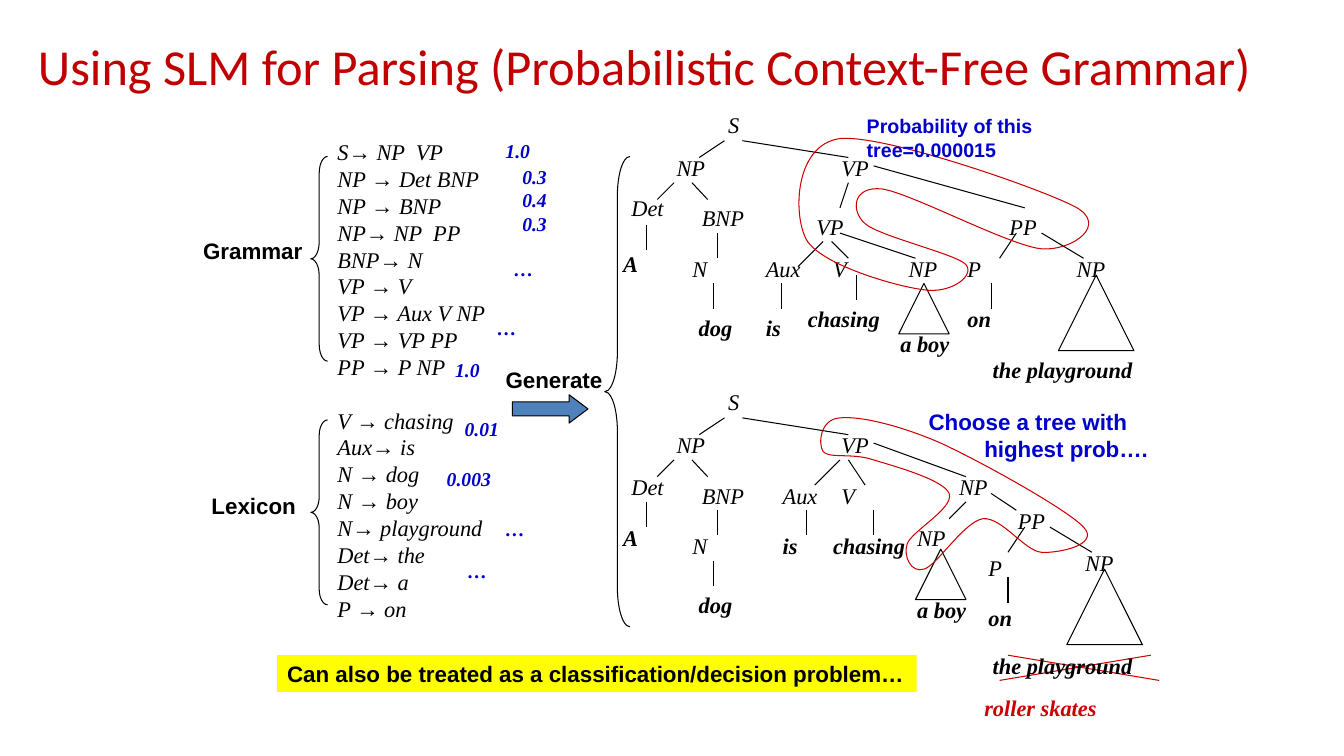
from lxml.etree import SubElement
from pptx import Presentation
from pptx.dml.color import RGBColor
from pptx.enum.shapes import MSO_CONNECTOR, MSO_SHAPE
from pptx.enum.text import MSO_ANCHOR, PP_ALIGN
from pptx.oxml.ns import qn
from pptx.util import Pt


class Theme:
    scale = 9525
    line_width = Pt(0.75)
    black = RGBColor.from_string("000000")
    title_red = RGBColor.from_string("C00000")
    red = RGBColor.from_string("CC0000")
    blue = RGBColor.from_string("0000CC")
    arrow_blue = RGBColor.from_string("4F81BD")
    yellow = RGBColor.from_string("FFFF00")
    title = {"name": "Calibri", "size": Pt(36)}
    symbol = {"name": "Times New Roman", "size": Pt(16), "italic": True}
    word = {**symbol, "bold": True}
    chance = {**word, "size": Pt(14)}
    heading = {"name": "Arial", "size": Pt(16), "bold": True}
    remark = {**heading, "size": Pt(14)}


class SlideBuilder:
    """Draws themed elements on one slide, with lengths in px."""

    def __init__(self, slide, theme):
        self.shapes = slide.shapes
        self.theme = theme

    def emu(self, *lengths):
        return [length * self.theme.scale for length in lengths]

    def text(self, content, x, y, style, color=Theme.black, width=None, height=35,
             align=PP_ALIGN.LEFT, anchor=MSO_ANCHOR.TOP, fill=None):
        width = width or 20 + 14 * len(content)
        box = self.shapes.add_textbox(*self.emu(x, y, width, height))
        frame = box.text_frame
        frame.word_wrap = True
        frame.vertical_anchor = anchor
        frame.text = content
        if fill is not None:
            box.fill.solid()
            box.fill.fore_color.rgb = fill
        for paragraph in frame.paragraphs:
            paragraph.alignment = align
            for run in paragraph.runs:
                for key, value in style.items():
                    setattr(run.font, key, value)
                run.font.color.rgb = color
        return frame.paragraphs

    def labels(self, entries, style, color=Theme.black, dy=0):
        for content, x, y in entries:
            self.text(content, x, y + dy, style, color)

    def outline(self, shape, color, fill=None):
        shape.shadow.inherit = False
        shape.line.color.rgb = color
        shape.line.width = self.theme.line_width
        if fill is None:
            shape.fill.background()
        else:
            shape.fill.solid()
            shape.fill.fore_color.rgb = fill

    def shape(self, preset, x, y, width, height, adjustments=(), fill=None):
        shape = self.shapes.add_shape(preset, *self.emu(x, y, width, height))
        for index, value in enumerate(adjustments):
            shape.adjustments[index] = value
        self.outline(shape, self.theme.black, fill)

    def lines(self, ends, color=Theme.black, dy=0):
        for x1, y1, x2, y2 in ends:
            line = self.shapes.add_connector(
                MSO_CONNECTOR.STRAIGHT, *self.emu(x1, y1 + dy, x2, y2 + dy))
            line.line.color.rgb = color
            line.line.width = self.theme.line_width
            SubElement(line._element.spPr, qn("a:effectLst"))

    def loop(self, start, controls, color):
        builder = self.shapes.build_freeform(*start, scale=float(self.theme.scale))
        builder.add_line_segments(controls + [start], close=True)
        shape = builder.convert_to_shape()
        segments = list(shape._element.iter(qn("a:lnTo")))
        for first in range(0, len(segments), 3):
            curve = segments[first]
            curve.tag = qn("a:cubicBezTo")
            for segment in segments[first + 1:first + 3]:
                curve.append(segment[0])
                segment.getparent().remove(segment)
        self.outline(shape, color)

    def tree(self, dy, symbols, words, branches, triangles):
        self.labels(SHARED_SYMBOLS, self.theme.symbol, dy=dy)
        self.labels([("dog", 656, 294)], self.theme.word, dy=dy)
        self.lines(SHARED_BRANCHES, dy=dy)
        self.labels(symbols, self.theme.symbol)
        self.labels(words, self.theme.word)
        self.lines(branches)
        for x, y, side in triangles:
            self.shape(MSO_SHAPE.ISOSCELES_TRIANGLE, x, y, side, side)


GRAMMAR = ["S→ NP  VP", "NP → Det BNP", "NP → BNP", "NP→ NP  PP", "BNP→ N",
           "VP → V", "VP → Aux V NP", "VP → VP PP", "PP → P NP"]
LEXICON = ["V → chasing", "Aux→ is", "N → dog", "N → boy", "N→ playground",
           "Det→ the", "Det→ a", "P → on"]
CHANCES = [("1.0", 472, 128), ("1.0", 424, 336), ("…", 480, 240), ("…", 464, 296),
           ("0.01", 433, 392), ("0.003", 416, 440), ("…", 436, 528), ("…", 472, 488)]
HEADINGS = [("Grammar", 184, 221), ("Lexicon", 192, 464), ("Generate", 472, 344)]
BRACES = [(296, 149, 16, 195, 0.997), (296, 400, 16, 176, 0.917),
          (576, 149, 24, 448, 1.556)]

SHARED_SYMBOLS = [("S", 684, 101), ("NP", 635, 142), ("VP", 792, 142),
                  ("BNP", 659, 190), ("N", 650, 238)]
SHARED_BRANCHES = [(690, 134, 666, 150), (707, 134, 808, 150), (659, 174, 674, 190),
                   (683, 222, 683, 246), (642, 174, 626, 190), (616, 214, 616, 238),
                   (680, 270, 680, 294)]
TREES = [
    dict(dy=0,
         symbols=[("Det", 592, 180), ("VP", 768, 198), ("PP", 952, 198),
                  ("Aux", 720, 238), ("V", 784, 238), ("NP", 856, 238),
                  ("P", 912, 238), ("NP", 1016, 238)],
         words=[("A", 584, 233), ("is", 720, 294), ("chasing", 760, 286),
                ("a boy", 848, 310), ("on", 912, 286), ("the playground", 936, 334)],
         branches=[(808, 174, 800, 198), (832, 158, 976, 198), (784, 230, 760, 254),
                   (792, 230, 808, 246), (744, 270, 744, 294), (816, 262, 816, 286),
                   (800, 222, 872, 246), (968, 222, 952, 246), (992, 222, 1032, 246),
                   (944, 270, 944, 294)],
         triangles=[(856, 270, 48), (1008, 262, 72)]),
    dict(dy=264,
         symbols=[("Det", 592, 446), ("PP", 960, 478), ("Aux", 736, 454),
                  ("V", 792, 454), ("NP", 904, 446), ("NP", 864, 494),
                  ("P", 932, 523), ("NP", 1024, 518)],
         words=[("A", 584, 494), ("is", 736, 502), ("chasing", 784, 502),
                ("a boy", 864, 563), ("on", 932, 571), ("the playground", 936, 616)],
         branches=[(800, 438, 776, 462), (808, 438, 824, 462), (768, 486, 768, 510),
                   (832, 486, 832, 510), (832, 422, 920, 454), (976, 502, 960, 526),
                   (1000, 502, 1040, 526), (960, 550, 960, 574), (944, 470, 968, 486),
                   (920, 478, 904, 494)],
         triangles=[(872, 523, 48), (1016, 542, 72)]),
]
LOOPS = [
    ((800, 132), [
        (843, 128), (992, 180), (1024, 197), (1056, 214), (1022, 239), (992, 237),
        (961, 234), (868, 184), (840, 180), (812, 177), (810, 201), (824, 213),
        (837, 225), (911, 242), (920, 252), (929, 263), (905, 280), (880, 276),
        (854, 273), (781, 252), (768, 228), (755, 204), (757, 138)]),
    ((800, 398), [
        (819, 396), (857, 405), (896, 422), (935, 440), (1016, 485), (1032, 502),
        (1048, 519), (1008, 527), (992, 526), (976, 525), (954, 492), (936, 494),
        (918, 497), (892, 539), (880, 542), (868, 546), (860, 530), (864, 518),
        (868, 506), (909, 484), (904, 470), (899, 457), (852, 444), (832, 438),
        (812, 431), (789, 437), (784, 430), (779, 423), (781, 399)]),
]
CROSS = [(952, 648, 1096, 624), (960, 624, 1104, 648)]


def main():
    theme = Theme()
    deck = Presentation()
    deck.slide_width, deck.slide_height = 1280 * theme.scale, 720 * theme.scale
    page = SlideBuilder(deck.slides.add_slide(deck.slide_layouts[6]), theme)

    page.labels([("roller skates", 928, 656)], theme.word, theme.red)
    page.lines(CROSS, theme.red)
    page.text("Using SLM for Parsing (Probabilistic Context-Free Grammar)", 0, 6,
              theme.title, theme.title_red, 1228, 112, PP_ALIGN.CENTER, MSO_ANCHOR.MIDDLE)
    rules = page.text("\n".join(GRAMMAR + LEXICON), 312, 127, theme.symbol,
                      width=184, height=497)
    rules[len(GRAMMAR)].space_before = Pt(19)
    for x, y, width, height, curl in BRACES:
        page.shape(MSO_SHAPE.LEFT_BRACE, x, y, width, height, (curl, 0.5))
    page.labels(HEADINGS, theme.heading)
    page.shape(MSO_SHAPE.RIGHT_ARROW, 488, 376, 72, 27, (0.5, 0.667), theme.arrow_blue)

    for tree in TREES:
        page.tree(**tree)
    for start, controls in LOOPS:
        page.loop(start, controls, theme.red)

    page.labels(CHANCES, theme.chance, theme.blue)
    page.text("0.3\n0.4\n0.3", 488, 152, theme.chance, theme.blue, 43, 78)
    page.text("Probability of this tree=0.000015", 816, 104, theme.remark, theme.blue, 190, 54)
    advice = page.text("Choose a tree with\nhighest prob….", 875, 384, theme.heading,
                       theme.blue, 240, 61)
    advice[1]._p.get_or_add_pPr().set("marL", str(53 * theme.scale))
    page.text("Can also be treated as a classification/decision problem…", 264, 624,
              theme.heading, width=609, fill=theme.yellow)
    deck.save("out.pptx")


if __name__ == "__main__":
    main()
